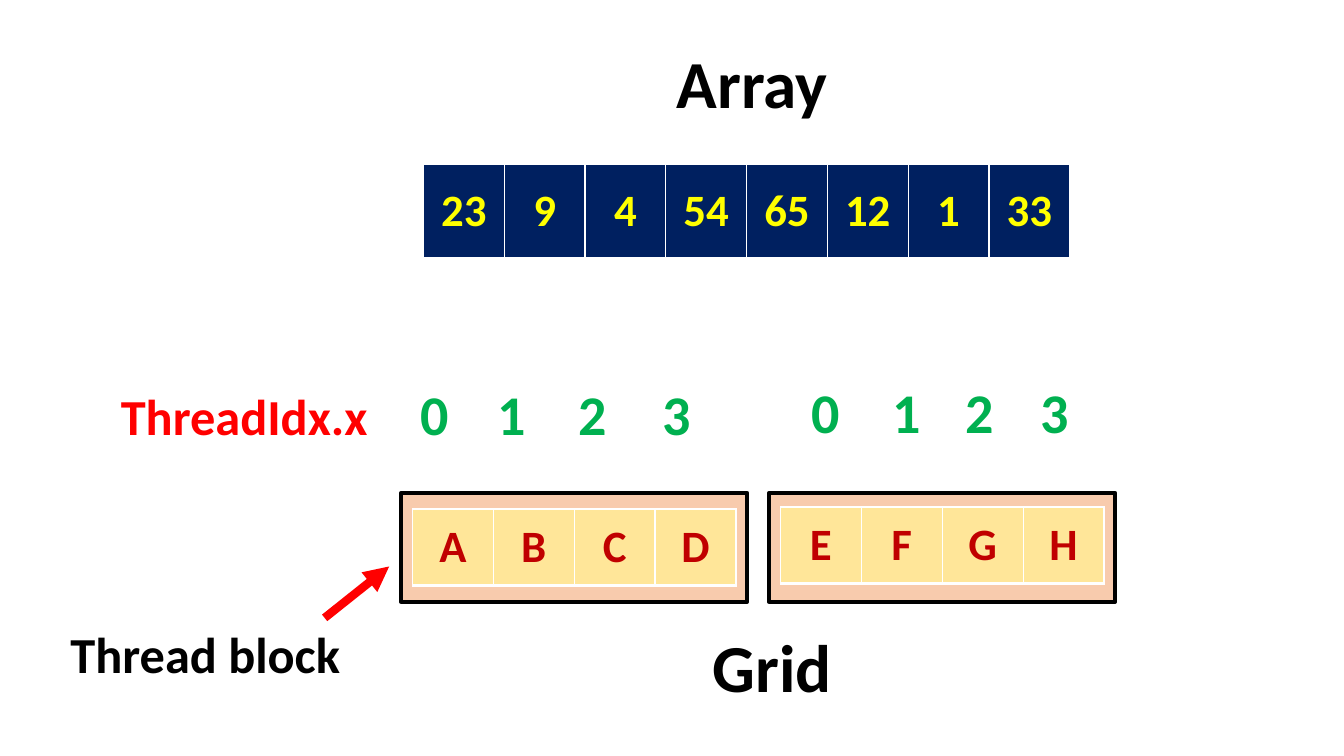
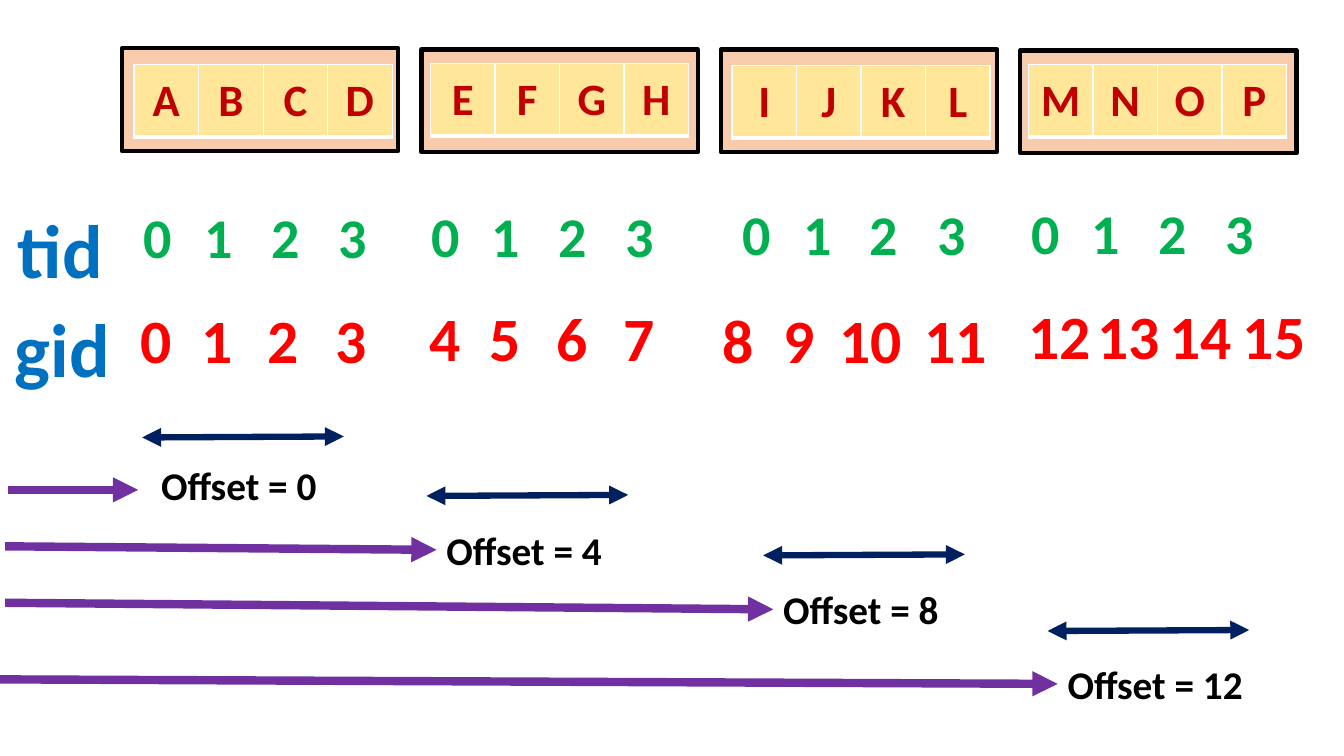
from lxml import etree
from pptx import Presentation
from pptx import util as u
from pptx.dml.color import RGBColor
from pptx.enum import shapes, text
from pptx.oxml import ns

FONT = "Calibri"
BLACK, WHITE, RED, GREEN, BLUE = "000000", "FFFFFF", "FF0000", "00B050", "0070C0"
NAVY, YELLOW, PURPLE = "002060", "FFFF00", "7030A0"
BLOCK_FILL, CELL_FILL, CELL_TEXT = "F8CBAD", "FFE699", "C00000"


def color(value):
    return RGBColor.from_string(value)


def write(frame, content, size, ink=BLACK, align=text.PP_ALIGN.LEFT):
    paragraph = frame.paragraphs[0]
    paragraph.alignment = align
    run = paragraph.add_run()
    run.text = content
    run.font.name = FONT
    run.font.size = u.Pt(size)
    run.font.bold = True
    run.font.color.rgb = color(ink)


def add_element(parent, tag, **attributes):
    return etree.SubElement(parent, ns.qn(tag), **attributes)


def cell_borders(cell):
    properties = cell._tc.get_or_add_tcPr()
    sides = (("a:lnL", 1), ("a:lnR", 1), ("a:lnT", 1), ("a:lnB", 3))
    for index, (tag, points) in enumerate(sides):
        line = etree.Element(ns.qn(tag), w=str(u.Pt(points)))
        add_element(add_element(line, "a:solidFill"), "a:srgbClr", val=WHITE)
        properties.insert(index, line)


class Deck:
    def __init__(self):
        self.presentation = Presentation()
        self.presentation.slide_width = u.Inches(13.33)
        self.presentation.slide_height = u.Inches(7.5)
        self.slide = None

    def new_slide(self, layout):
        layouts = self.presentation.slide_layouts
        self.slide = self.presentation.slides.add_slide(layouts.get_by_name(layout))

    def title(self, content, left, top, width, height):
        shape = self.slide.shapes.title
        shape.left, shape.top = u.Inches(left), u.Inches(top)
        shape.width, shape.height = u.Inches(width), u.Inches(height)
        shape.text_frame.vertical_anchor = text.MSO_ANCHOR.TOP
        shape.text_frame.auto_size = text.MSO_AUTO_SIZE.NONE
        write(shape.text_frame, content, 48)

    def label(self, content, left, top, width, height, size, ink=BLACK):
        shape = self.slide.shapes.add_textbox(
            u.Inches(left), u.Inches(top), u.Inches(width), u.Inches(height))
        shape.text_frame.word_wrap = True
        shape.text_frame.auto_size = text.MSO_AUTO_SIZE.SHAPE_TO_FIT_TEXT
        write(shape.text_frame, content, size, ink)
        return shape

    def numbers(self, values, left, top, steps, size=40, ink=GREEN):
        """Write one number at each step to the right of left."""
        for value, step in zip(values, steps):
            width = 0.73 if value < 10 else 0.86
            height = 0.77 if size == 40 else 0.84
            self.label(str(value), left + step, top, width, height, size, ink)

    def row(self, values, left, top, width, height, fill=CELL_FILL, ink=CELL_TEXT):
        table = self.slide.shapes.add_table(
            1, len(values), u.Inches(left), u.Inches(top),
            u.Inches(width), u.Inches(height)).table
        table.first_row = table.horz_banding = False
        for cell, value in zip(table.rows[0].cells, values):
            cell.fill.solid()
            cell.fill.fore_color.rgb = color(fill)
            cell.vertical_anchor = text.MSO_ANCHOR.MIDDLE
            write(cell.text_frame, value, 32, ink, text.PP_ALIGN.CENTER)
            cell_borders(cell)

    def block(self, left, top, width, height):
        shape = self.slide.shapes.add_shape(
            shapes.MSO_SHAPE.RECTANGLE, u.Inches(left), u.Inches(top),
            u.Inches(width), u.Inches(height))
        shape.shadow.inherit = False
        shape.fill.solid()
        shape.fill.fore_color.rgb = color(BLOCK_FILL)
        shape.line.color.rgb = color(BLACK)
        shape.line.width = u.Pt(3)

    def arrow(self, start, end, ink, width=6, both=False, target=None):
        connector = self.slide.shapes.add_connector(
            shapes.MSO_CONNECTOR.STRAIGHT, *map(u.Inches, start + end))
        if target is not None:
            connector.end_connect(target, 1)
        connector.line.color.rgb = color(ink)
        connector.line.width = u.Pt(width)
        line = connector.line._get_or_add_ln()
        if both:
            add_element(line, "a:headEnd", type="triangle")
        add_element(line, "a:tailEnd", type="triangle")
        add_element(connector._element.spPr, "a:effectLst")


def array_slide(deck):
    deck.new_slide("Title Only")
    deck.title("Array", 6.61, 0.36, 2.73, 0.91)
    deck.row(["23", "9", "4", "54", "65", "12", "1", "33"],
             4.2, 1.63, 6.41, 0.94, NAVY, YELLOW)

    # Thread blocks and their indices
    deck.label("ThreadIdx.x", 1.1, 3.77, 2.88, 0.71, 36, RED)
    blocks = (
        ("ABCD", 3.98, 5.05, 4.07, 3.72, (0, 0.77, 1.57, 2.4)),
        ("EFGH", 7.63, 5.03, 7.95, 3.7, (0, 0.8, 1.53, 2.27)),
    )
    for letters, left, row_top, number_left, number_top, steps in blocks:
        deck.block(left, 4.89, 3.43, 1.08)
        deck.row(letters, left + 0.11, row_top, 3.21, 0.76)
        deck.numbers(range(4), number_left, number_top, steps)

    # Captions
    deck.label("Grid", 6.97, 6.15, 2.73, 0.91, 48)
    deck.label("Thread block", 0.6, 6.13, 4.24, 0.71, 36)
    deck.arrow((3.22, 6.13), (3.86, 5.62), RED)


def offset_slide(deck):
    deck.new_slide("Blank")
    deck.label("tid", 0.08, 1.96, 1.26, 1.01, 54, BLUE)
    deck.label("gid", 0.05, 2.95, 1.59, 1.01, 54, BLUE)

    # Thread blocks: letters, block top, row left and top
    blocks = (
        ("ABCD", 0.48, 1.33, 0.64),
        ("EFGH", 0.49, 4.27, 0.63),
        ("IJKL", 0.49, 7.26, 0.65),
        ("MNOP", 0.5, 10.2, 0.64),
    )
    for index, (letters, top, row_left, row_top) in enumerate(blocks):
        deck.block(1.21 + 2.97 * index, top, 2.74, 1.02)
        deck.row(letters, row_left, row_top, 2.56, 0.72)

    # Thread and global indices: left and top of each, global steps
    steps = (0, 0.6, 1.26, 1.93)
    indices = (
        (1.33, 1.96, 1.3, 2.95, steps),
        (4.18, 1.95, 4.16, 2.93, steps),
        (7.27, 1.93, 7.07, 2.95, (0, 0.6, 1.16, 2)),
        (10.13, 1.92, 10.1, 2.91, (0, 0.69, 1.4, 2.13)),
    )
    for index, (tid_left, tid_top, gid_left, gid_top, gid_steps) in enumerate(indices):
        deck.numbers(range(4), tid_left, tid_top, steps)
        deck.numbers(range(4 * index, 4 * index + 4), gid_left, gid_top,
                     gid_steps, 44, RED)

    # Offsets: label left and top, arrow start, left and height of the span
    offsets = (
        (1.5, 4.53, (0.08, 4.86), 1.41, 4.34),
        (4.33, 5.17, (0.05, 5.42), 4.23, 4.92),
        (7.67, 5.76, (0.05, 5.98), 7.57, 5.51),
        (10.49, 6.5, (0, 6.74), 10.39, 6.26),
    )
    for index, (left, top, start, span_left, span_top) in enumerate(offsets):
        label = deck.label(f"Offset = {4 * index}", left, top, 2.23, 0.57, 28)
        if index == 0:
            deck.arrow(start, (1.37, 4.86), PURPLE)
        else:
            deck.arrow(start, (left, top + 0.29), PURPLE, target=label)
        deck.arrow((span_left, span_top), (span_left + 2, span_top - 0.01),
                   NAVY, 4.5, both=True)


def main():
    deck = Deck()
    array_slide(deck)
    offset_slide(deck)
    deck.presentation.save("out.pptx")


if __name__ == "__main__":
    main()
